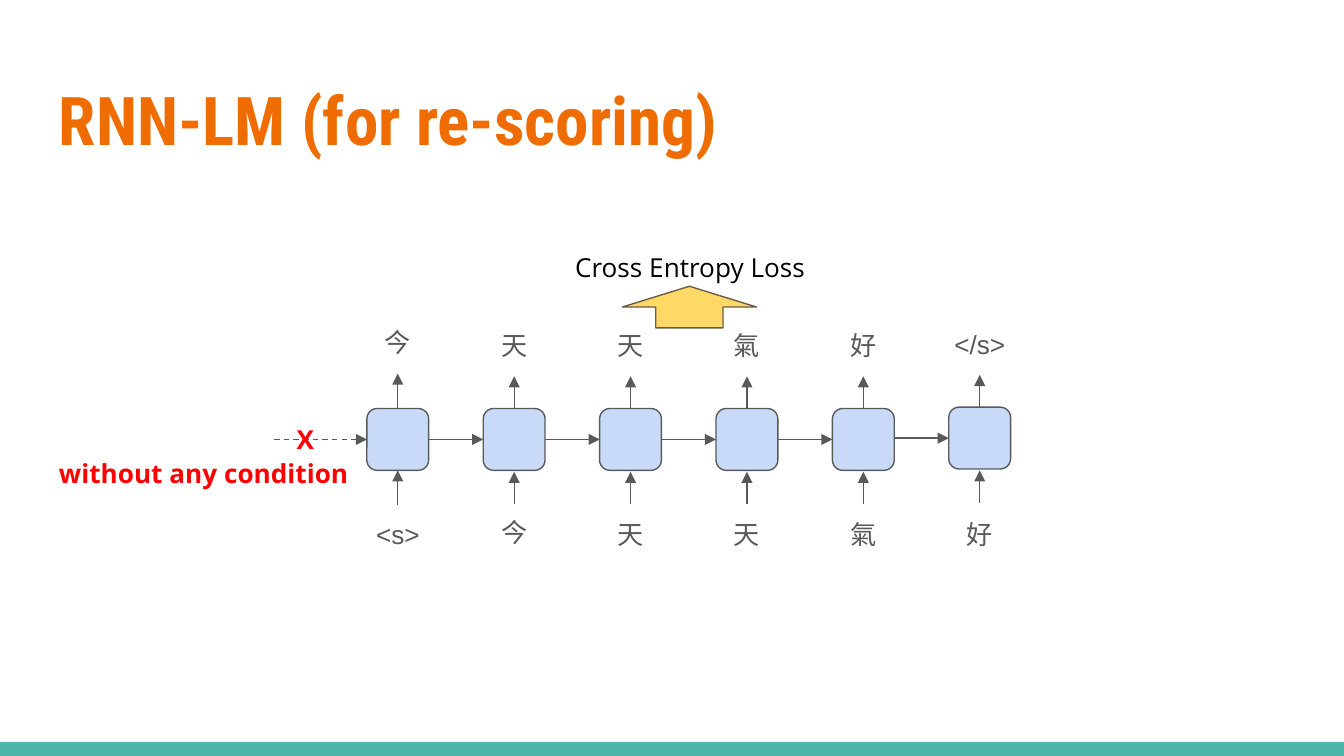
"""Build a slide showing an unrolled recurrent language model."""
from dataclasses import dataclass

from lxml import etree
from pptx import Presentation
from pptx import util as u
from pptx.dml.color import RGBColor
from pptx.enum import dml, shapes, text
from pptx.oxml import ns


@dataclass(frozen=True)
class Theme:
    title_color: str = "EF6C00"
    band: str = "4DB6AC"
    ink: str = "595959"
    cell: str = "C9DAF8"
    loss: str = "FFD966"
    loss_line: str = "695D46"
    warning: str = "FF0000"
    black: str = "000000"
    title_size: int = 36
    body_size: int = 14
    line_width: float = 0.75
    title_font: str = "Roboto Condensed"
    token_font: str = "Arial"
    note_font: str = "Open Sans"


@dataclass(frozen=True)
class Cell:
    source: str
    target: str
    top: float = 3.04
    stem: float = 0.24
    source_top: float = 3.76


THEME = Theme()
SLIDE_WIDTH = 10
SLIDE_HEIGHT = SLIDE_WIDTH * 9 / 16
SIDE = 0.46
FIRST_LEFT = 2.73
LAST_LEFT = 7.06
LABEL_WIDTH = 0.65
LABEL_HEIGHT = 0.45
CELLS = (
    Cell("<s>", "今", stem=0.26),
    Cell("今", "天", source_top=3.74),
    Cell("天", "天"),
    Cell("天", "氣"),
    Cell("氣", "好"),
    Cell("好", "</s>", top=3.03),
)


def add_text(page, words: str, left: float, top: float, width: float, height: float, *,
             font: str = THEME.note_font, size: int = THEME.body_size,
             color: str = THEME.ink, bold: bool = False, align=text.PP_ALIGN.LEFT,
             anchor=text.MSO_ANCHOR.TOP) -> None:
    """Add a wrapped text box with one formatted paragraph."""
    box = page.shapes.add_textbox(*map(u.Inches, (left, top, width, height)))
    frame = box.text_frame
    frame.word_wrap = True
    frame.vertical_anchor = anchor
    frame.margin_left = frame.margin_right = u.Inches(0.1)
    frame.margin_top = frame.margin_bottom = u.Inches(0.1)
    para = frame.paragraphs[0]
    para.alignment = align
    span = para.add_run()
    span.text = words
    span.font.name = font
    span.font.size = u.Pt(size)
    span.font.bold = bold
    span.font.color.rgb = RGBColor.from_string(color)


def add_block(page, kind, left: float, top: float, width: float, height: float,
              fill: str, line: str | None = None) -> None:
    """Add a filled preset shape with an optional outline."""
    block = page.shapes.add_shape(kind, *map(u.Inches, (left, top, width, height)))
    block.shadow.inherit = False
    block.fill.solid()
    block.fill.fore_color.rgb = RGBColor.from_string(fill)
    if line is None:
        block.line.fill.background()
    else:
        block.line.color.rgb = RGBColor.from_string(line)
        block.line.width = u.Pt(THEME.line_width)


def add_arrow(page, x1: float, y1: float, x2: float, y2: float, dashed: bool = False) -> None:
    """Add a straight arrow that points at its second end."""
    arrow = page.shapes.add_connector(shapes.MSO_CONNECTOR.STRAIGHT,
                                      *map(u.Inches, (x1, y1, x2, y2)))
    arrow.line.color.rgb = RGBColor.from_string(THEME.ink)
    arrow.line.width = u.Pt(THEME.line_width)
    if dashed:
        arrow.line.dash_style = dml.MSO_LINE.DASH
    properties = arrow.line._get_or_add_ln()
    etree.SubElement(properties, ns.qn("a:tailEnd"), type="triangle", w="med", len="med")
    etree.SubElement(properties.getparent(), ns.qn("a:effectLst"))


def add_token(page, word: str, center: float, top: float) -> None:
    """Add a token label centred on its cell."""
    add_text(page, word, center - LABEL_WIDTH / 2, top, LABEL_WIDTH, LABEL_HEIGHT,
             font=THEME.token_font, align=text.PP_ALIGN.CENTER)


def add_cell(page, cell: Cell, left: float, reach: float, dashed: bool) -> None:
    """Add one recurrent cell with its arrows and tokens."""
    center = left + SIDE / 2
    middle = cell.top + SIDE / 2
    source_middle = cell.top + 0.59
    add_block(page, shapes.MSO_SHAPE.ROUNDED_RECTANGLE, left, cell.top, SIDE, SIDE,
              THEME.cell, THEME.ink)
    add_arrow(page, left - reach, middle, left, middle, dashed)
    add_arrow(page, center, cell.top, center, cell.top - cell.stem)
    add_arrow(page, center, source_middle + cell.stem / 2,
              center, source_middle - cell.stem / 2)
    add_token(page, cell.target, center, cell.top - cell.stem - LABEL_HEIGHT)
    add_token(page, cell.source, center, cell.source_top)


def main() -> None:
    """Draw the slide and save it."""
    deck = Presentation()
    deck.slide_width, deck.slide_height = u.Inches(SLIDE_WIDTH), u.Inches(SLIDE_HEIGHT)
    page = deck.slides.add_slide(deck.slide_layouts[6])
    add_block(page, shapes.MSO_SHAPE.RECTANGLE, 0, 5.52, SLIDE_WIDTH, SLIDE_HEIGHT - 5.52,
              THEME.band)
    add_text(page, "RNN-LM (for re-scoring)", 0.34, 0.5, 9.32, 0.77,
             font=THEME.title_font, size=THEME.title_size, color=THEME.title_color,
             bold=True, anchor=text.MSO_ANCHOR.MIDDLE)
    pitch = (LAST_LEFT - FIRST_LEFT) / (len(CELLS) - 1)
    for index, cell in enumerate(CELLS):
        first = index == 0
        add_cell(page, cell, FIRST_LEFT + index * pitch,
                 reach=0.69 if first else pitch - SIDE, dashed=first)
    add_block(page, shapes.MSO_SHAPE.UP_ARROW, 4.63, 2.13, 1, 0.31,
              THEME.loss, THEME.loss_line)
    add_text(page, "Cross Entropy Loss", 3.93, 1.77, 2.41, 0.45,
             color=THEME.black, align=text.PP_ALIGN.CENTER)
    add_text(page, "X", 2.11, 3.05, 0.4, 0.46, color=THEME.warning, bold=True)
    add_text(page, "without any condition", 0.34, 3.3, 2.85, 0.77,
             color=THEME.warning, bold=True)
    deck.save("out.pptx")


if __name__ == "__main__":
    main()
